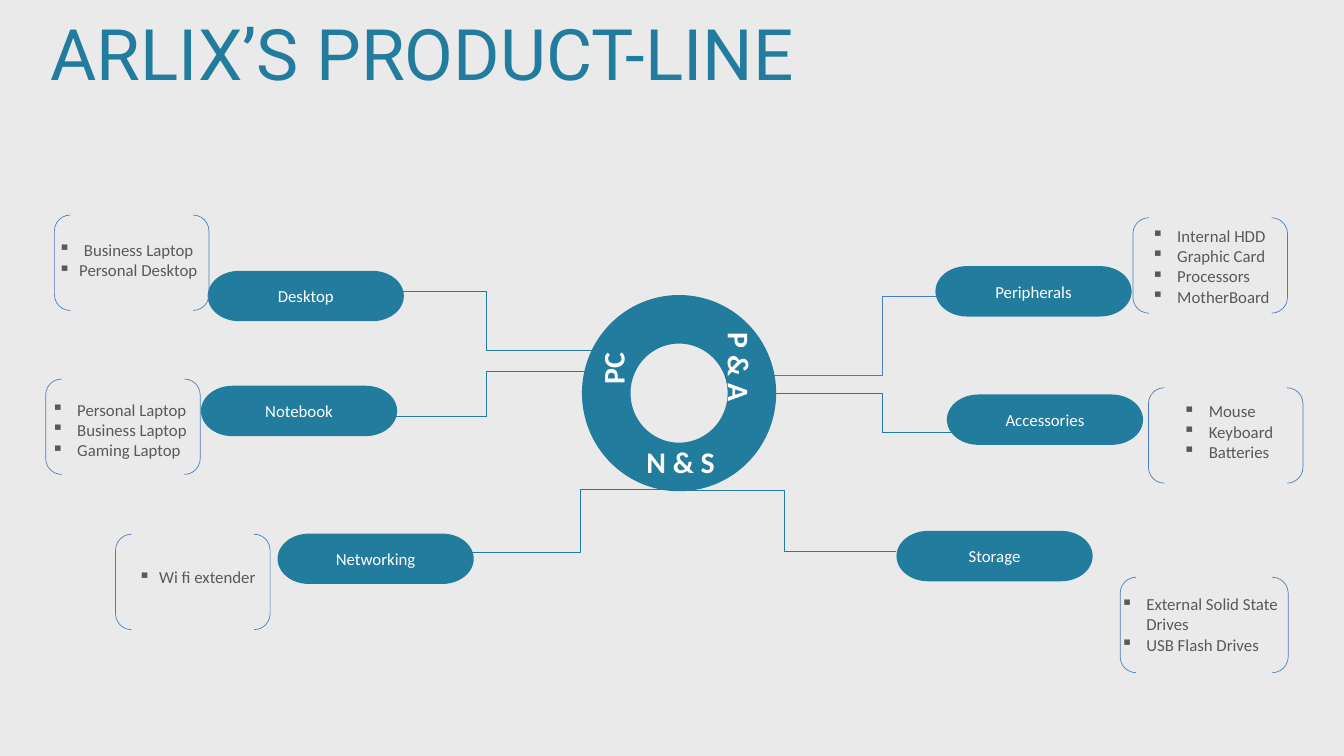
"""Build a product-line map: a central ring linked to six product families."""
import dataclasses

import lxml.etree
import pptx
import pptx.dml.color
import pptx.enum.shapes
import pptx.enum.text
import pptx.oxml.ns
import pptx.util

CELL = pptx.util.Inches(0.1)
COLUMNS, ROWS = 200, 112.5
TEAL = pptx.dml.color.RGBColor(0x22, 0x7C, 0x9D)
BLUE = pptx.dml.color.RGBColor(0x4B, 0x7E, 0xBC)
GREY = pptx.dml.color.RGBColor(0x59, 0x59, 0x59)
WHITE = pptx.dml.color.RGBColor(0xFF, 0xFF, 0xFF)
PAPER = pptx.dml.color.RGBColor(0xEA, 0xEA, 0xEA)
SHAPES = pptx.enum.shapes.MSO_SHAPE
PILL_SIZE = (29.2, 7.5)
BRACKET_HEIGHT = 14.2
THIN = pptx.util.Pt(0.75)


@dataclasses.dataclass
class Family:
    """A product family, placed in grid cells."""
    name: str
    pill: tuple
    bracket: tuple
    listing: tuple
    products: tuple
    link: tuple
    bracket_width: float = 23
    indents: tuple = (3.8, 3.8, 3.8, 3.8)
    link_color: pptx.dml.color.RGBColor = TEAL


FAMILIES = (
    Family("Desktop", (30.9, 40.3), (8.1, 32), (7.7, 35.2, 25.9, 7.1),
           ("Business Laptop", "Personal Desktop"),
           (58.7, 43.4, 72.4, 92.4, 52.1), indents=(3.8, 3.1)),
    Family("Notebook", (29.9, 57.4), (6.8, 56.4), (6.7, 59, 22.8, 10.1),
           ("Personal Laptop", "Business Laptop", "Gaming Laptop"),
           (55.8, 61.9, 72.4, 88.4, 55.2)),
    Family("Networking", (41.3, 79.4), (17.2, 79.5), (19.6, 83.9, 27.9, 4),
           ("Wi fi extender",),
           (69.9, 82.2, 86.4, 103, 72.8), indents=(3.1,)),
    Family("Peripherals", (139.2, 39.6), (168.6, 32.4), (170.4, 33.1, 25.9, 13.1),
           ("Internal HDD", "Graphic Card", "Processors", "MotherBoard"),
           (143, 44.1, 131.3, 109.5, 55.9), link_color=BLUE),
    Family("Accessories", (140.9, 58.7), (170.9, 57.7), (175.1, 59.2, 16.6, 10.1),
           ("Mouse", "Keyboard", "Batteries"),
           (154.7, 64.4, 131.3, 115, 58.6)),
    Family("Storage", (133.4, 79), (166.7, 85.9), (165.8, 87.9, 29.2, 10.1),
           ("External Solid State Drives", "USB Flash Drives"),
           (133.4, 82, 116.7, 99.9, 73), bracket_width=25),
)
RING_LABELS = (
    ("PC", (86.5, 50.3, 9.4, 6.4), 270),
    ("N & S", (95.2, 65.5, 12.5, 6.4), 0),
    ("P & A", (103.8, 51.6, 12.5, 6.4), 90),
)


def cells(*counts):
    """Turn grid counts into lengths."""
    return [pptx.util.Emu(round(count * CELL)) for count in counts]


def style(para, size, color, font="Calibri", bold=False):
    """Set the font of a whole paragraph."""
    para.font.name = font
    para.font.size = pptx.util.Pt(size)
    para.font.color.rgb = color
    para.font.bold = bold


def add_bullet(para, indent):
    """Give a paragraph a square bullet with a hanging indent."""
    properties = para._p.get_or_add_pPr()
    length = cells(indent)[0]
    properties.set("marL", str(length))
    properties.set("indent", str(-length))
    bullet = lxml.etree.SubElement(properties, pptx.oxml.ns.qn("a:buChar"))
    bullet.set("char", "▪")


def add_title(page, text):
    """Place and format the title placeholder."""
    title = page.shapes.title
    title.left, title.top, title.width, title.height = cells(7.5, 3.6, 145.5, 10.7)
    frame = title.text_frame
    frame.text = text
    frame.word_wrap = True
    frame.vertical_anchor = pptx.enum.text.MSO_ANCHOR.TOP
    frame.margin_left = frame.margin_right = frame.margin_top = frame.margin_bottom = 0
    para = frame.paragraphs[0]
    para.alignment = pptx.enum.text.PP_ALIGN.LEFT
    para.line_spacing = pptx.util.Pt(76)
    style(para, 76, TEAL, "Roboto")


def add_solid(page, kind, place):
    """Add a teal shape without outline."""
    shape = page.shapes.add_shape(kind, *cells(*place))
    shape.shadow.inherit = False
    shape.fill.solid()
    shape.fill.fore_color.rgb = TEAL
    shape.line.fill.background()
    return shape


def add_link(page, family):
    """Add an elbow connector that turns at the given column."""
    left, top, turn, right, bottom = family.link
    link = page.shapes.add_connector(
        pptx.enum.shapes.MSO_CONNECTOR.ELBOW, *cells(left, top, right, bottom))
    link.line.color.rgb = family.link_color
    link.line.width = THIN
    qn = pptx.oxml.ns.qn
    guide = lxml.etree.SubElement(link._element.spPr.find(".//" + qn("a:avLst")), qn("a:gd"))
    guide.set("name", "adj1")
    guide.set("fmla", f"val {round((turn - left) / (right - left) * 100000)}")
    lxml.etree.SubElement(link._element.spPr, qn("a:effectLst"))


def add_pill(page, family):
    """Add the named pill of a family."""
    pill = add_solid(page, SHAPES.FLOWCHART_TERMINATOR, family.pill + PILL_SIZE)
    pill.text_frame.text = family.name
    pill.text_frame.vertical_anchor = pptx.enum.text.MSO_ANCHOR.MIDDLE
    para = pill.text_frame.paragraphs[0]
    para.alignment = pptx.enum.text.PP_ALIGN.CENTER
    style(para, 18, WHITE)


def add_listing(page, family):
    """Add the bulleted products of a family."""
    box = page.shapes.add_textbox(*cells(*family.listing))
    box.text_frame.word_wrap = True
    box.text_frame.text = "\n".join(family.products)
    for para, indent in zip(box.text_frame.paragraphs, family.indents):
        add_bullet(para, indent)
        style(para, 18, GREY)


def add_bracket(page, family):
    """Add the bracket pair around a product list."""
    size = (family.bracket_width, BRACKET_HEIGHT)
    bracket = page.shapes.add_shape(SHAPES.DOUBLE_BRACKET, *cells(*family.bracket, *size))
    bracket.shadow.inherit = False
    bracket.fill.background()
    bracket.line.color.rgb = BLUE
    bracket.line.width = THIN


def add_ring_label(page, text, place, rotation):
    """Add a bold label on the ring."""
    box = page.shapes.add_textbox(*cells(*place))
    box.rotation = rotation
    box.text_frame.word_wrap = True
    box.text_frame.margin_right = 0
    box.text_frame.text = text
    style(box.text_frame.paragraphs[0], 32, WHITE, bold=True)


def main():
    """Build and save the deck."""
    deck = pptx.Presentation()
    deck.slide_width, deck.slide_height = cells(COLUMNS, ROWS)
    page = deck.slides.add_slide(deck.slide_layouts.get_by_name("Title Only"))
    page.background.fill.solid()
    page.background.fill.fore_color.rgb = PAPER
    add_title(page, "ARLIX’S PRODUCT-LINE")
    for add_part in (add_link, add_pill, add_listing, add_bracket):
        for family in FAMILIES:
            add_part(page, family)
    add_solid(page, SHAPES.DONUT, (86.6, 43.9, 28.9, 29.2))
    for label in RING_LABELS:
        add_ring_label(page, *label)
    deck.save("out.pptx")


if __name__ == "__main__":
    main()
